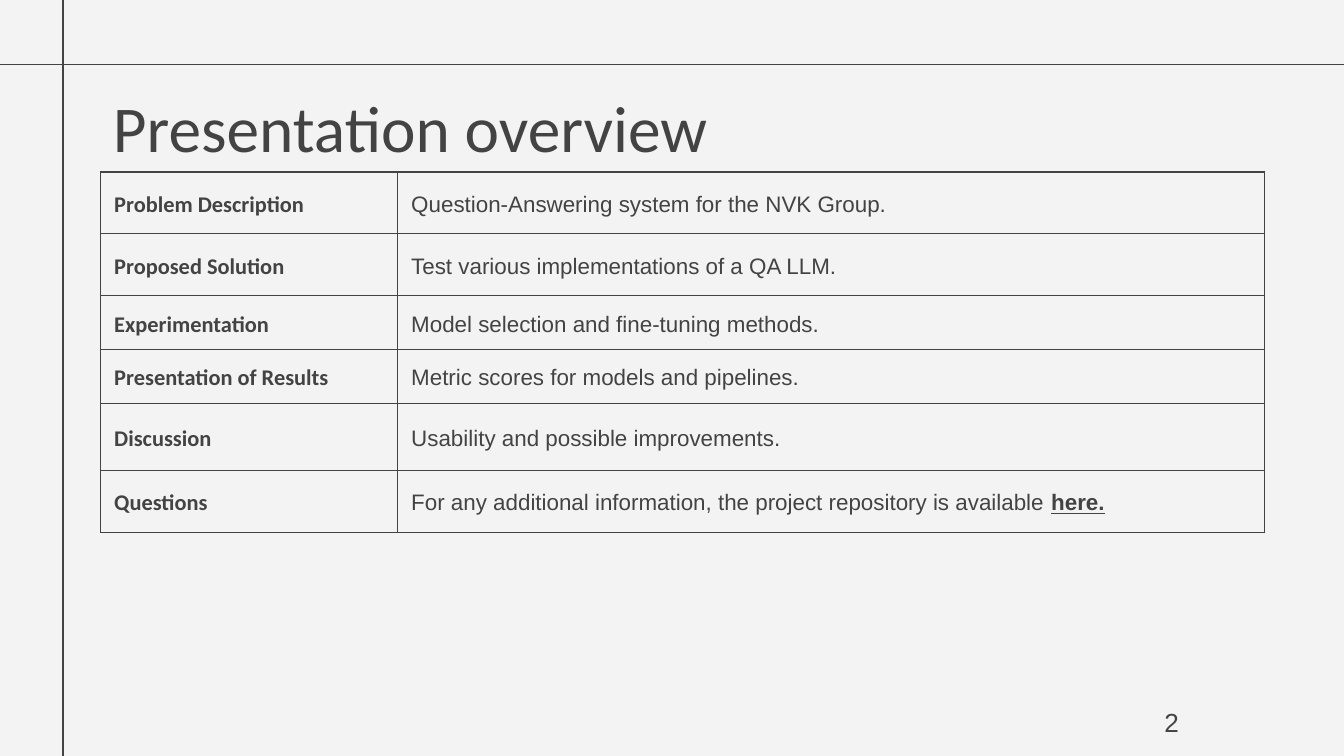
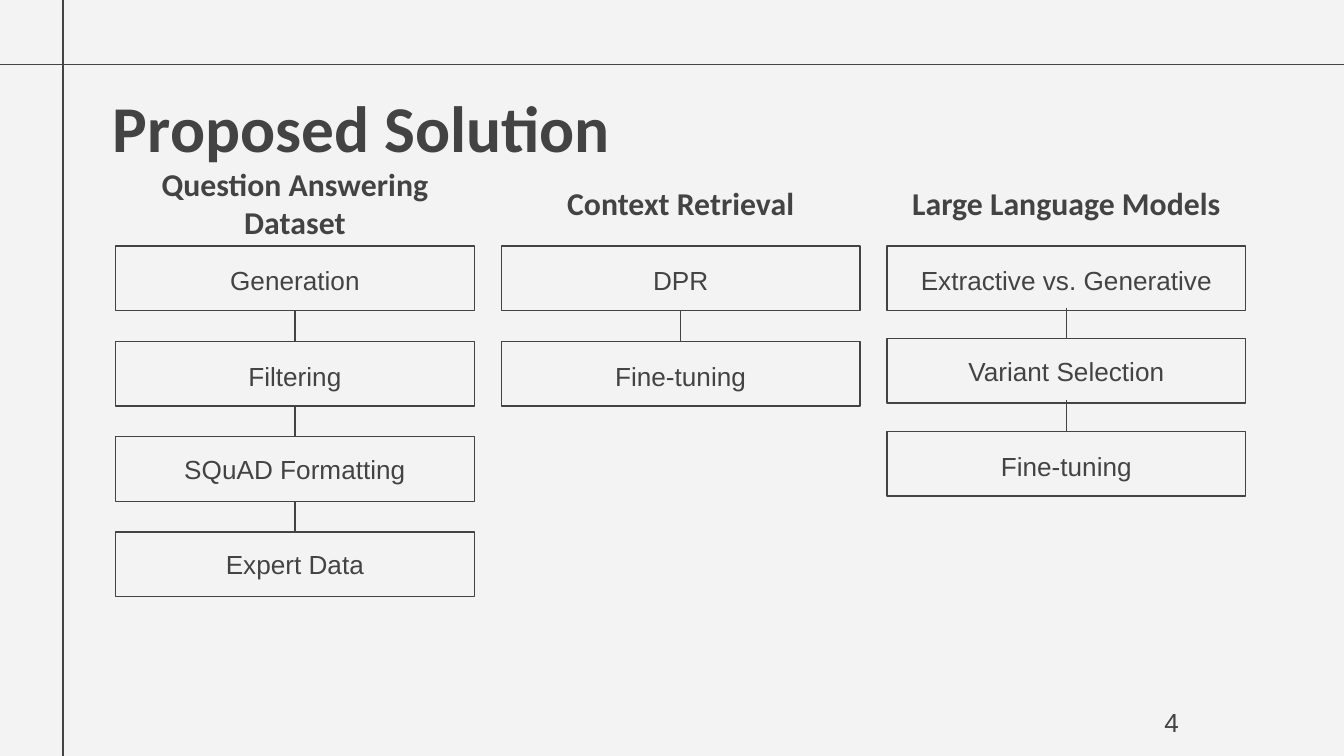
from dataclasses import dataclass

from lxml import etree
from pptx import Presentation
from pptx.dml.color import RGBColor
from pptx.enum import shapes, text
from pptx.oxml import ns
from pptx.util import Inches, Pt


@dataclass(frozen=True)
class Theme:
    ink: RGBColor = RGBColor.from_string("434343")
    paper: RGBColor = RGBColor.from_string("F3F3F3")
    heading_font: str = "Calibri"
    body_font: str = "Arial"
    title_size: int = 35
    heading_size: int = 17
    body_size: int = 14
    table_size: int = 12
    line_width: float = 0.75


THEME = Theme()
WIDTH = 10
HEIGHT = WIDTH * 9 / 16

OVERVIEW_TITLE = "Presentation overview"
OVERVIEW_ROWS = [
    # label, description, emphasised ending, row height
    ("Problem Description", "Question-Answering system for the NVK Group.", "", 0.46),
    ("Proposed Solution", "Test various implementations of a QA LLM.", "", 0.46),
    ("Experimentation", "Model selection and fine-tuning methods.", "", 0.4),
    ("Presentation of Results", "Metric scores for models and pipelines.", "", 0.4),
    ("Discussion", "Usability and possible improvements.", "", 0.5),
    ("Questions", "For any additional information, the project repository is available ",
     "here.", 0.46),
]
OVERVIEW_COLUMNS = (2.21, 6.45)

SOLUTION_TITLE = "Proposed Solution"
SOLUTION_COLUMNS = [
    # heading lines, vertical step, (box text, line spacing)
    (["Question Answering", "Dataset"], 0.71,
     [("Generation", 1.15), ("Filtering", 1.15), ("SQuAD Formatting", 1), ("Expert Data", 1)]),
    (["Context Retrieval"], 0.71, [("DPR", 1.15), ("Fine-tuning", 1.15)]),
    (["Large Language Models"], 0.69,
     [("Extractive vs. Generative", 1.15), ("Variant Selection", 1), ("Fine-tuning", 1.15)]),
]
COLUMN_LEFT, COLUMN_STEP = 0.86, 2.87
BOX_WIDTH, BOX_HEIGHT, BOX_TOP = 2.67, 0.48, 1.83
HEADING_TOP, HEADING_HEIGHT = 1.25, 0.52
LINK_LENGTH = 0.23


def add_run(paragraph, words, size, font_name=THEME.body_font, bold=False, underline=False):
    run = paragraph.add_run()
    run.text = words
    font = run.font
    font.name, font.size = font_name, Pt(size)
    font.bold, font.underline = bold, underline
    font.color.rgb = THEME.ink


def prepare_frame(frame, anchor):
    frame.word_wrap = True
    frame.auto_size = text.MSO_AUTO_SIZE.NONE
    frame.vertical_anchor = anchor
    frame.margin_left = frame.margin_right = Inches(0.1)
    frame.margin_top = frame.margin_bottom = Inches(0.1)


def add_text_box(slide, left, top, width, height, anchor):
    frame = slide.shapes.add_textbox(*map(Inches, (left, top, width, height))).text_frame
    prepare_frame(frame, anchor)
    return frame


def add_line(slide, x1, y1, x2, y2):
    line = slide.shapes.add_connector(
        shapes.MSO_CONNECTOR.STRAIGHT, *map(Inches, (x1, y1, x2, y2)))
    line.line.color.rgb = THEME.ink
    line.line.width = Pt(THEME.line_width)
    properties = line.element.find(ns.qn("p:spPr"))
    etree.SubElement(properties, ns.qn("a:effectLst"))
    return line


def add_slide(presentation, layout, title, number, bold=False):
    slide = presentation.slides.add_slide(layout)
    placeholder = slide.shapes.title
    placeholder.left, placeholder.top = Inches(0.74), Inches(0.55)
    placeholder.width, placeholder.height = Inches(8.67), Inches(0.53)
    prepare_frame(placeholder.text_frame, text.MSO_ANCHOR.TOP)
    paragraph = placeholder.text_frame.paragraphs[0]
    paragraph.alignment = text.PP_ALIGN.LEFT
    add_run(paragraph, title, THEME.title_size, THEME.heading_font, bold)

    frame = add_text_box(slide, 8.27, 5.16, 0.6, 0.43, text.MSO_ANCHOR.TOP)
    frame.paragraphs[0].alignment = text.PP_ALIGN.RIGHT
    add_run(frame.paragraphs[0], str(number), THEME.body_size)
    return slide


def add_guides(slide, layout):
    """Draw the two crossing guide lines and hand them to the shared layout."""
    for ends in ((10.06, 0.48, -0.05, 0.48), (0.47, 0, 0.47, 5.66)):
        layout.shapes.element.append(add_line(slide, *ends).element)


def outline_cell(cell):
    cell.fill.background()
    properties = cell._tc.get_or_add_tcPr()
    for index, side in enumerate(("lnL", "lnR", "lnT", "lnB")):
        border = etree.Element(ns.qn(f"a:{side}"), w=str(Pt(THEME.line_width)))
        fill = etree.SubElement(border, ns.qn("a:solidFill"))
        etree.SubElement(fill, ns.qn("a:srgbClr"), val=str(THEME.ink))
        properties.insert(index, border)


def add_overview_table(slide):
    heights = [row[-1] for row in OVERVIEW_ROWS]
    table = slide.shapes.add_table(
        len(OVERVIEW_ROWS), len(OVERVIEW_COLUMNS), Inches(0.75), Inches(1.28),
        Inches(sum(OVERVIEW_COLUMNS)), Inches(sum(heights))).table
    table.first_row = table.horz_banding = False
    for column, width in zip(table.columns, OVERVIEW_COLUMNS):
        column.width = Inches(width)
    for row, (label, description, ending, height) in zip(table.rows, OVERVIEW_ROWS):
        row.height = Inches(height)
        for cell in row.cells:
            outline_cell(cell)
            cell.vertical_anchor = text.MSO_ANCHOR.MIDDLE
            cell.margin_left = cell.margin_right = Inches(0.1)
            cell.margin_top = cell.margin_bottom = 0
            cell.text_frame.paragraphs[0].line_spacing = 1.15
        label_paragraph, detail = (cell.text_frame.paragraphs[0] for cell in row.cells)
        add_run(label_paragraph, label, THEME.table_size, THEME.heading_font, bold=True)
        detail.space_after = Pt(12)
        add_run(detail, description, THEME.table_size)
        if ending:
            add_run(detail, ending, THEME.table_size, bold=True, underline=True)


def add_step_box(slide, left, top, words, spacing):
    box = slide.shapes.add_shape(
        shapes.MSO_SHAPE.RECTANGLE, *map(Inches, (left, top, BOX_WIDTH, BOX_HEIGHT)))
    box.shadow.inherit = False
    box.fill.background()
    box.line.color.rgb = THEME.ink
    box.line.width = Pt(THEME.line_width)
    prepare_frame(box.text_frame, text.MSO_ANCHOR.MIDDLE)
    paragraph = box.text_frame.paragraphs[0]
    paragraph.alignment = text.PP_ALIGN.CENTER
    paragraph.line_spacing = spacing
    add_run(paragraph, words, THEME.body_size)


def add_solution_column(slide, left, heading, step, boxes):
    frame = add_text_box(
        slide, left, HEADING_TOP, BOX_WIDTH, HEADING_HEIGHT, text.MSO_ANCHOR.MIDDLE)
    for index, words in enumerate(heading):
        paragraph = frame.add_paragraph() if index else frame.paragraphs[0]
        paragraph.alignment = text.PP_ALIGN.CENTER
        add_run(paragraph, words, THEME.heading_size, THEME.heading_font, bold=True)
    middle = left + BOX_WIDTH / 2
    for index, (words, spacing) in enumerate(boxes):
        top = BOX_TOP + index * step
        add_step_box(slide, left, top, words, spacing)
        if index:
            add_line(slide, middle, top - LINK_LENGTH, middle, top)


def main():
    presentation = Presentation()
    presentation.slide_width, presentation.slide_height = Inches(WIDTH), Inches(HEIGHT)
    layout = presentation.slide_layouts.get_by_name("Title Only")
    background = layout.background.fill
    background.solid()
    background.fore_color.rgb = THEME.paper

    overview = add_slide(presentation, layout, OVERVIEW_TITLE, 2)
    add_guides(overview, layout)
    add_overview_table(overview)

    solution = add_slide(presentation, layout, SOLUTION_TITLE, 4, bold=True)
    for index, column in enumerate(SOLUTION_COLUMNS):
        add_solution_column(solution, COLUMN_LEFT + index * COLUMN_STEP, *column)

    presentation.save("out.pptx")


if __name__ == "__main__":
    main()
